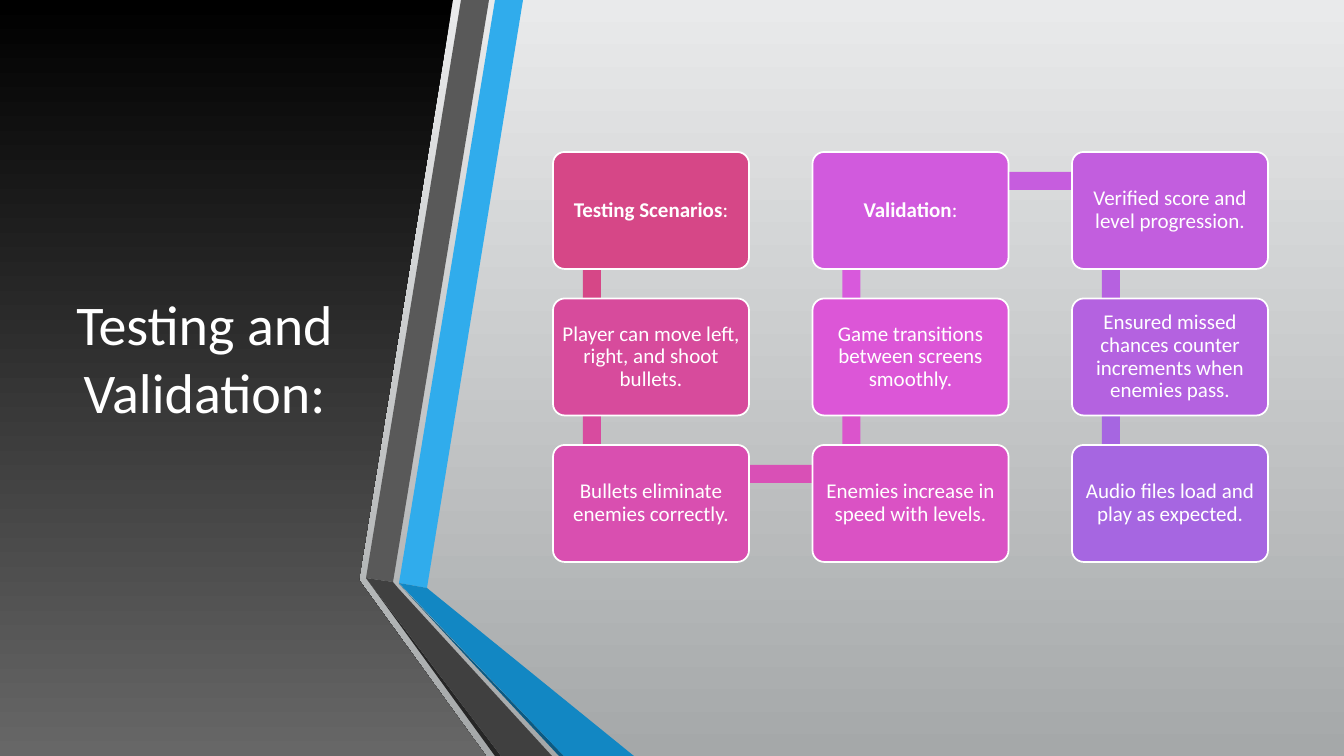
from pptx import Presentation
from pptx import util as u
from pptx.dml.color import RGBColor
from pptx.enum import shapes, text

SLIDE_W, SLIDE_H = 1344, 756
EMU_PER_PX = 12192000 / SLIDE_W
FONT = "Calibri"

WHITE = RGBColor(0xFF, 0xFF, 0xFF)
BLACK = RGBColor(0x00, 0x00, 0x00)
PANEL_GREY = RGBColor(0x67, 0x67, 0x67)
BACK_LIGHT = RGBColor(0xE9, 0xEA, 0xEB)
BACK_DARK = RGBColor(0xA5, 0xA8, 0xA9)
BLUE = RGBColor(0x30, 0xAC, 0xEC)
BLUE_FOLD = RGBColor(0x12, 0x87, 0xC3)
BLUE_SHADE = RGBColor(0x0C, 0x5A, 0x82)
GREY = RGBColor(0x59, 0x59, 0x59)
GREY_FOLD = RGBColor(0x40, 0x40, 0x40)
GREY_SHADE = RGBColor(0x26, 0x26, 0x26)

# Outlines relative to the slide's top-left corner, back to front
PANEL = [(0, 0), (453, 0), (359, 580), (486, 756), (0, 756)]
RIBBONS = [
    (BLUE, [(399, 583), (427, 588), (523, 0), (495, 0)]),
    (GREY, [(489, 0), (461, 0), (366, 578), (393, 582)]),
    (GREY_SHADE, [(366, 578), (495, 756), (501, 756)]),
    (BLUE_SHADE, [(399, 584), (559, 756), (564, 756)]),
    (BLUE_FOLD, [(399, 583), (564, 756), (634, 756), (427, 588)]),
    (GREY_FOLD, [(552, 756), (398, 588), (393, 582), (366, 578), (501, 756)]),
]

# Bold words, plain words, card colour
STEPS = [
    ("Testing Scenarios", ":", RGBColor(0xD6, 0x47, 0x87)),
    ("", "Player can move left, right, and shoot bullets.", RGBColor(0xD7, 0x4B, 0x9C)),
    ("", "Bullets eliminate enemies correctly.", RGBColor(0xD9, 0x4F, 0xB0)),
    ("", "Enemies increase in speed with levels.", RGBColor(0xDA, 0x52, 0xC4)),
    ("", "Game transitions between screens smoothly.", RGBColor(0xDC, 0x56, 0xD7)),
    ("Validation", ":", RGBColor(0xD1, 0x5A, 0xDD)),
    ("", "Verified score and level progression.", RGBColor(0xC2, 0x5E, 0xDE)),
    ("", "Ensured missed chances counter increments when enemies pass.",
     RGBColor(0xB4, 0x62, 0xE0)),
    ("", "Audio files load and play as expected.", RGBColor(0xA6, 0x66, 0xE1)),
]
LINK_COLOURS = [
    RGBColor(0xD6, 0x47, 0x87), RGBColor(0xD8, 0x4B, 0x9F),
    RGBColor(0xD9, 0x50, 0xB6), RGBColor(0xDB, 0x54, 0xCC),
    RGBColor(0xD8, 0x59, 0xDC), RGBColor(0xC6, 0x5D, 0xDE),
    RGBColor(0xB6, 0x61, 0xE0), RGBColor(0xA6, 0x66, 0xE1),
]
ROWS = COLUMNS = 3
CARD_W, CARD_H = 196, 117
LINK_X, LINK_Y, LINK_THICK = 39, 29, 18


def px(length):
    return u.Emu(round(length * EMU_PER_PX))


def set_all(target, values):
    for name, value in values.items():
        setattr(target, name, value)


def fade_down(fill, top, bottom):
    """Fill with a gradient that runs from the top colour to the bottom one."""
    fill.gradient()
    fill.gradient_angle = 270
    for stop, position, colour in zip(fill.gradient_stops, (0, 1), (top, bottom)):
        stop.position = position
        stop.color.rgb = colour


def paint(shape, colour):
    shape.shadow.inherit = False
    shape.fill.solid()
    shape.fill.fore_color.rgb = colour
    shape.line.fill.background()


def add_outline(slide, points, colour):
    builder = slide.shapes.build_freeform(*points[0], scale=EMU_PER_PX)
    builder.add_line_segments(points[1:])
    outline = builder.convert_to_shape()
    paint(outline, colour)
    return outline


def add_box(slide, kind, box, colour):
    shape = slide.shapes.add_shape(kind, *map(px, box))
    paint(shape, colour)
    return shape


def add_words(paragraph, words, size, bold=False):
    run = paragraph.add_run()
    run.text = words
    set_all(run.font, {"name": FONT, "size": u.Pt(size), "bold": bold})
    run.font.color.rgb = WHITE


def draw_backdrop(slide):
    fade_down(slide.background.fill, BACK_LIGHT, BACK_DARK)
    panel = add_outline(slide, PANEL, BLACK)
    fade_down(panel.fill, BLACK, PANEL_GREY)
    for colour, points in RIBBONS:
        add_outline(slide, points, colour)


def place_title(slide, box, words):
    title = slide.shapes.title
    set_all(title, dict(zip(("left", "top", "width", "height"), map(px, box))))
    set_all(title.text_frame, {
        "word_wrap": True,
        "auto_size": text.MSO_AUTO_SIZE.NONE,
        "vertical_anchor": text.MSO_ANCHOR.MIDDLE,
    })
    paragraph = title.text_frame.paragraphs[0]
    paragraph.alignment = text.PP_ALIGN.CENTER
    add_words(paragraph, words, 40)
    slide.shapes._spTree.append(title._element)  # in front of the dark panel


def add_card(slide, left, top, heading, words, colour):
    card = add_box(slide, shapes.MSO_SHAPE.ROUNDED_RECTANGLE,
                   (left, top, CARD_W, CARD_H), colour)
    card.adjustments[0] = 0.1
    card.line.color.rgb = WHITE
    card.line.width = u.Pt(1.25)
    frame = card.text_frame
    set_all(frame, {"word_wrap": True, "vertical_anchor": text.MSO_ANCHOR.MIDDLE})
    set_all(frame, {f"margin_{side}": px(6)
                    for side in ("left", "top", "right", "bottom")})
    paragraph = frame.paragraphs[0]
    set_all(paragraph, {"alignment": text.PP_ALIGN.CENTER, "line_spacing": 0.9})
    if heading:
        add_words(paragraph, heading, 15, bold=True)
    add_words(paragraph, words, 15)


def draw_steps(slide, box):
    """Lay the cards in a winding chain: down, up, then down the columns."""
    left, top, width, height = box
    pitch_x = (width - CARD_W) / (COLUMNS - 1)
    pitch_y = (height - CARD_H) / (ROWS - 1)
    corners = []
    for column in range(COLUMNS):
        rows = range(ROWS) if column % 2 == 0 else reversed(range(ROWS))
        corners += [(left + column * pitch_x, top + row * pitch_y) for row in rows]

    for (x1, y1), (x2, y2), colour in zip(corners, corners[1:], LINK_COLOURS):
        link = (min(x1, x2) + LINK_X - LINK_THICK / 2,
                min(y1, y2) + LINK_Y - LINK_THICK / 2,
                abs(x2 - x1) + LINK_THICK, abs(y2 - y1) + LINK_THICK)
        add_box(slide, shapes.MSO_SHAPE.RECTANGLE, link, colour)
    for corner, step in zip(corners, STEPS):
        add_card(slide, *corner, *step)


def main():
    deck = Presentation()
    deck.slide_width, deck.slide_height = px(SLIDE_W), px(SLIDE_H)
    slide = deck.slides.add_slide(deck.slide_layouts[5])
    draw_backdrop(slide)
    place_title(slide, (59, 76, 291, 562), "Testing and Validation:")
    draw_steps(slide, (553, 152, 715, 410))
    deck.save("out.pptx")


if __name__ == "__main__":
    main()
